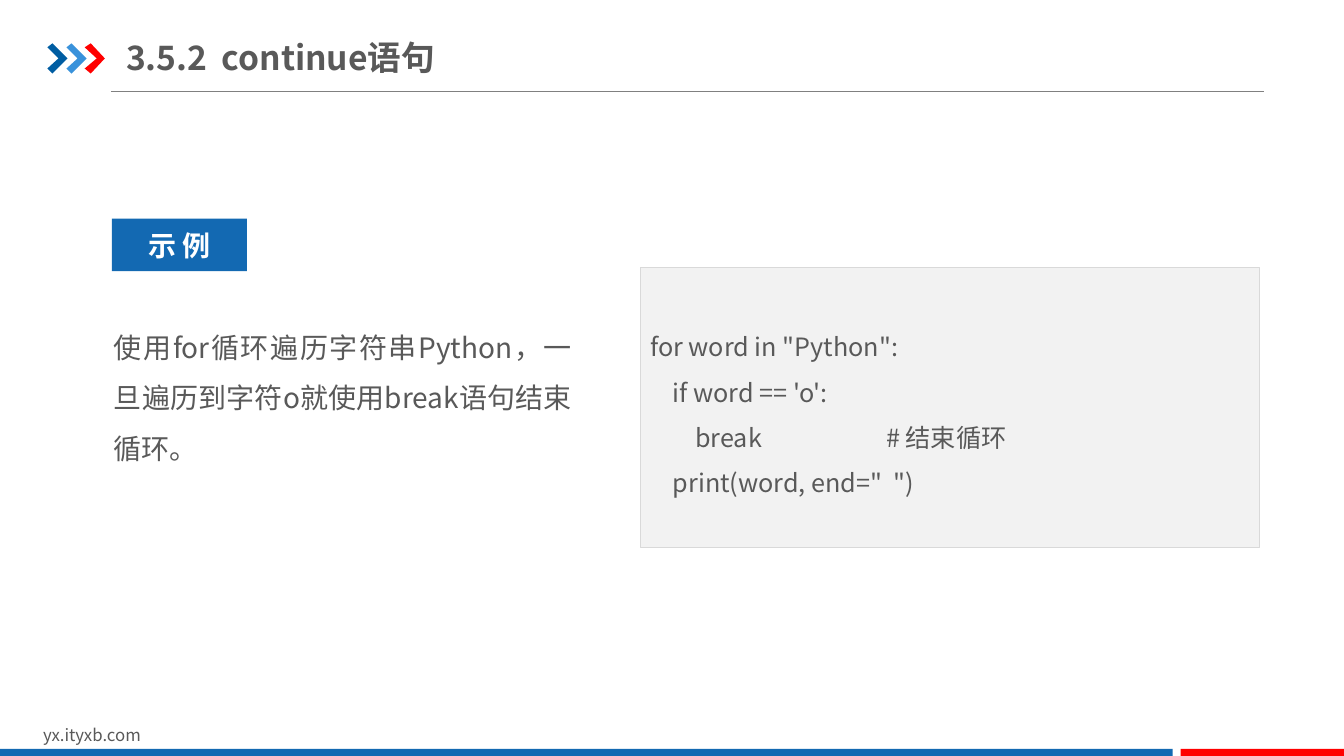
from lxml import etree
from pptx import Presentation
from pptx.dml.color import RGBColor
from pptx.enum.shapes import MSO_CONNECTOR, MSO_SHAPE
from pptx.enum.text import MSO_ANCHOR, MSO_AUTO_SIZE, PP_ALIGN
from pptx.oxml.ns import qn
from pptx.util import Inches, Pt

LEFT, CENTER, JUSTIFY = PP_ALIGN.LEFT, PP_ALIGN.CENTER, PP_ALIGN.JUSTIFY
TOP, MIDDLE = MSO_ANCHOR.TOP, MSO_ANCHOR.MIDDLE
NO_AUTOFIT = MSO_AUTO_SIZE.NONE
RECTANGLE, STRAIGHT = MSO_SHAPE.RECTANGLE, MSO_CONNECTOR.STRAIGHT

# Content
TITLE = "3.5.2\tcontinue语句"
BADGE = "示 例"
TASK = "使用for循环遍历字符串Python，一旦遍历到字符o就使用break语句结束循环。"
CODE = [
    'for word in "Python":',
    "    if word == 'o':",
    "        break\t# 结束循环",
    '    print(word, end="  ")',
]
SITE = "yx.ityxb.com"

# Look
FONT = "Noto Sans CJK SC"
BLUE = RGBColor(0x13, 0x69, 0xB2)
NAVY = RGBColor(0x00, 0x5D, 0xA2)
SKY = RGBColor(0x39, 0x92, 0xDB)
RED = RGBColor(0xFF, 0x00, 0x00)
TEXT = RGBColor(0x59, 0x59, 0x59)
RULE = RGBColor(0x80, 0x80, 0x80)
PANEL = RGBColor(0xF2, 0xF2, 0xF2)
PANEL_EDGE = RGBColor(0xD9, 0xD9, 0xD9)
WHITE = RGBColor(0xFF, 0xFF, 0xFF)

# Layout in inches
SLIDE_W, SLIDE_H = 13.33, 7.5
BAR_TOP, BAR_H = 7.43, 0.09
BAR_SPLIT, BAR_GAP = 11.63, 0.08
# Chevron outline and step in hundredths of an inch
CHEVRON = [(0, 4), (5, 0), (20, 15), (5, 30), (0, 25), (11, 15)]
CHEVRON_LEFT, CHEVRON_TOP, CHEVRON_STEP = 47, 43, 18.75

prs = Presentation()
prs.slide_width, prs.slide_height = Inches(SLIDE_W), Inches(SLIDE_H)
slide = prs.slides.add_slide(prs.slide_layouts[5])
shapes = slide.shapes


def box(left, top, width, height):
    return [Inches(length) for length in (left, top, width, height)]


def paint(shape, fill, edge=None):
    shape.shadow.inherit = False
    shape.fill.solid()
    shape.fill.fore_color.rgb = fill
    if edge is None:
        shape.line.fill.background()
    else:
        shape.line.color.rgb = edge
        shape.line.width = Pt(0.25)


def block(area, fill, edge=None):
    shape = shapes.add_shape(RECTANGLE, *box(*area))
    paint(shape, fill, edge)
    return shape


def write(shape, lines, size, color=TEXT, bold=False, align=LEFT,
          anchor=TOP, spacing=1.0, inset=(0.1, 0.05), tab=None):
    frame = shape.text_frame
    side, edge = (Inches(length) for length in inset)
    frame_format = {
        "word_wrap": True, "auto_size": NO_AUTOFIT, "vertical_anchor": anchor,
        "margin_left": side, "margin_right": side,
        "margin_top": edge, "margin_bottom": edge,
    }
    for name, value in frame_format.items():
        setattr(frame, name, value)
    for number, line in enumerate(lines):
        paragraph = frame.add_paragraph() if number else frame.paragraphs[0]
        paragraph.alignment = align
        paragraph.line_spacing = spacing
        if tab and "\t" in line:
            stops = etree.SubElement(paragraph._p.get_or_add_pPr(), qn("a:tabLst"))
            etree.SubElement(stops, qn("a:tab"), pos=str(Inches(tab)), algn="l")
        run = paragraph.add_run()
        run.text = line
        for name, value in {"name": FONT, "size": Pt(size), "bold": bold}.items():
            setattr(run.font, name, value)
        run.font.color.rgb = color
        etree.SubElement(run._r.get_or_add_rPr(), qn("a:ea"), typeface=FONT)


# Header: rule, chevrons and title
header_rule = shapes.add_connector(
    STRAIGHT, Inches(1.1), Inches(0.91), Inches(12.54), Inches(0.91))
header_rule.line.color.rgb = RULE
header_rule.line.width = Pt(0.75)
etree.SubElement(header_rule._element.spPr, qn("a:effectLst"))

for number, color in enumerate((NAVY, SKY, RED)):
    left = CHEVRON_LEFT + number * CHEVRON_STEP
    corners = [(left + x, CHEVRON_TOP + y) for x, y in CHEVRON]
    outline = shapes.build_freeform(*corners[0], scale=Inches(0.01))
    outline.add_line_segments(corners[1:], close=True)
    paint(outline.convert_to_shape(), color)

title = shapes.title
title.left, title.top, title.width, title.height = box(1.25, 0.29, 5.34, 0.55)
write(title, [TITLE], 24, bold=True, anchor=MIDDLE, inset=(0, 0.07), tab=0.95)

# Example: badge, task and code panel
badge = block((1.11, 2.17, 1.34, 0.52), BLUE)
write(badge, [BADGE], 20, WHITE, bold=True, align=CENTER, anchor=MIDDLE)

task = shapes.add_textbox(*box(1, 3.04, 4.8, 1.65))
write(task, [TASK], 20, align=JUSTIFY, spacing=1.5, inset=(0.13, 0.07))

code = block((6.35, 2.65, 6.14, 2.78), PANEL, PANEL_EDGE)
write(code, CODE, 18, anchor=MIDDLE, spacing=1.5, tab=2.34)

# Footer: site and two bars
site = shapes.add_textbox(*box(0.33, 7.14, 3.18, 0.3))
write(site, [SITE], 12)
red_left = BAR_SPLIT + BAR_GAP
block((0, BAR_TOP, BAR_SPLIT, BAR_H), BLUE)
block((red_left, BAR_TOP, SLIDE_W - red_left, BAR_H), RED)

prs.save("out.pptx")
